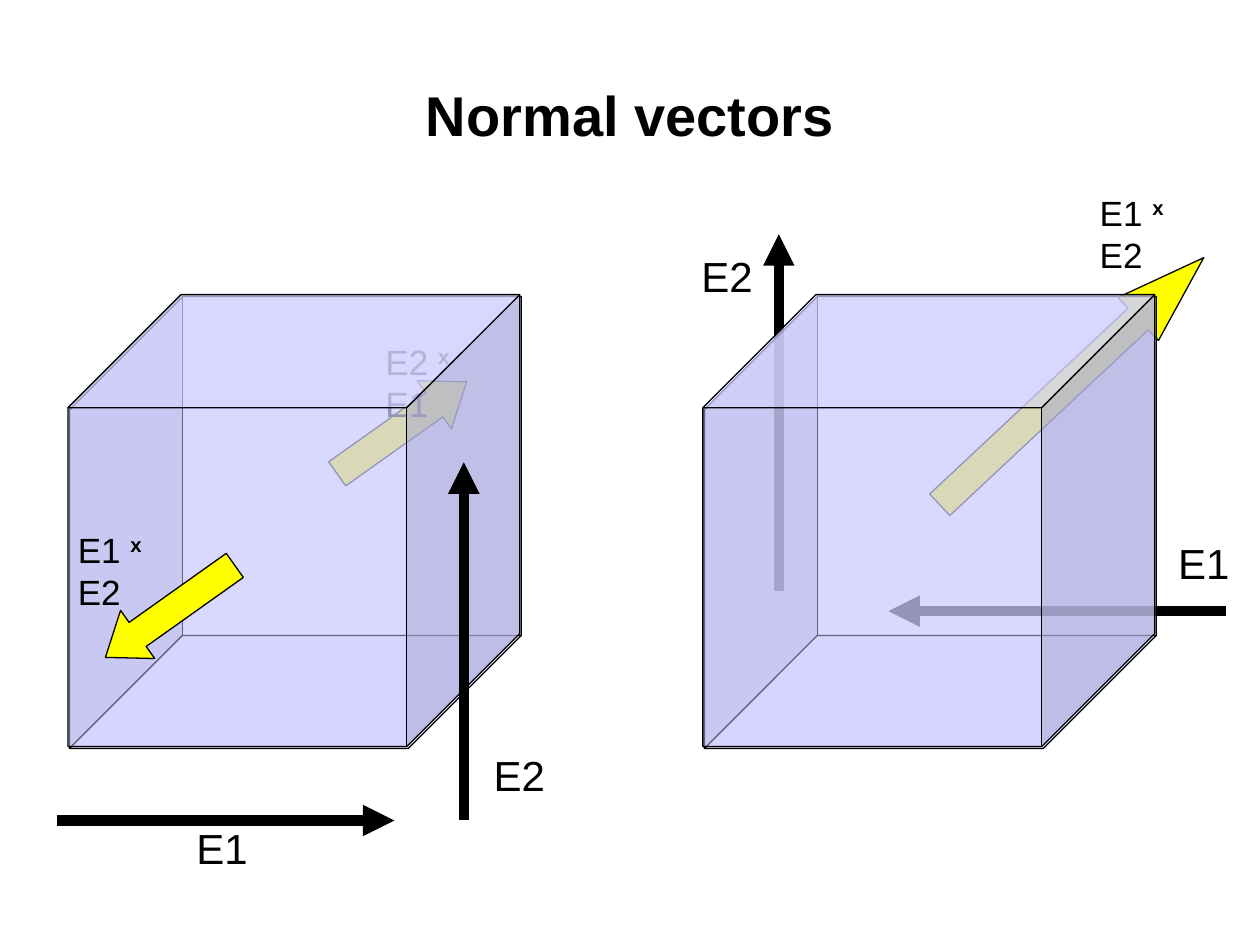
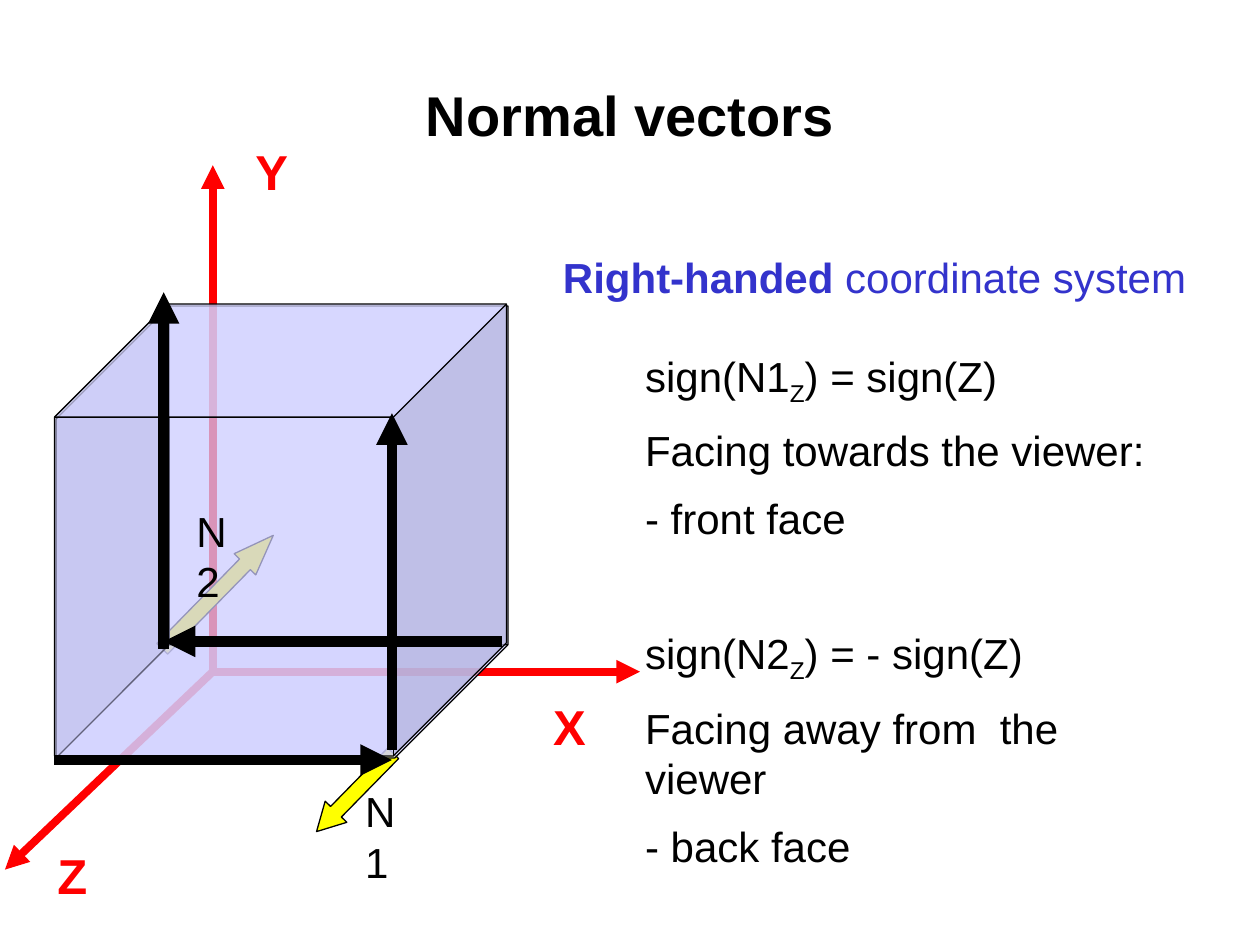
import pptx
import pptx.util
import pptx.dml.color
import pptx.enum.shapes
import pptx.enum.text
import pptx.oxml.ns
import lxml.etree

Cm = pptx.util.Cm
Pt = pptx.util.Pt
qn = pptx.oxml.ns.qn

# Shared colours and text formats
BLACK, RED, BLUE, YELLOW = "000000", "FF0000", "3333CC", "FFFF00"
FRONT_FACE, TOP_FACE, SIDE_FACE = "CCCCFF", "D6D6FF", "A4A4CD"
FACE_ALPHA = "48000"
BOLD, PLAIN = {"bold": True}, {"bold": False}
TITLE_FONT = {"size": Pt(32), "bold": True}
AXIS_FONT = {"size": Pt(28), "bold": True}
TEXT_FONT = {"size": Pt(24), "bold": False}
PRODUCT_FONT = {"size": Pt(20), "bold": False}

# Cube measures in cm: side of the front face, depth, and both together
SIDE, DEPTH = 6.83, 2.28
SPAN = SIDE + DEPTH
BACK_SHIFT = (0.03, 0.04)
SILHOUETTE = [(DEPTH, 0), (0, DEPTH), (0, SPAN), (SIDE, SPAN), (SPAN, SIDE), (SPAN, 0)]
TOP = [(0, DEPTH), (SIDE, DEPTH), (SPAN, 0), (DEPTH, 0)]
FLANK = [(SIDE, DEPTH), (SPAN, 0), (SPAN, SIDE), (SIDE, SPAN)]
CUBE_OUTLINES = [  # points, closed, fill
    (SILHOUETTE, True, FRONT_FACE),
    (TOP, True, TOP_FACE),
    (FLANK, True, SIDE_FACE),
    (SILHOUETTE, True, None),
    (TOP[:3], False, None),
]
CUBE_EDGE = [(SIDE, DEPTH), (SIDE, SPAN)]


def rgb(code):
    return pptx.dml.color.RGBColor.from_string(code)


def draw_line(page, start, end, colour, width, head=True):
    line = page.shapes.add_connector(
        pptx.enum.shapes.MSO_CONNECTOR.STRAIGHT, *[Cm(v) for v in (*start, *end)])
    line.line.color.rgb = rgb(colour)
    line.line.width = Pt(width)
    properties = line.element.spPr
    if head:
        lxml.etree.SubElement(properties.find(qn("a:ln")), qn("a:tailEnd"), type="triangle")
    lxml.etree.SubElement(properties, qn("a:effectLst"))


# Labels: place, size, text format, colour, spans of (text, format, baseline)
VECTOR_SIZE, PRODUCT_SIZE, AXIS_SIZE = (1.55, 1.27), (2.84, 1.12), (1.17, 1.45)
E1, E2, N1, N2 = [(VECTOR_SIZE, TEXT_FONT, BLACK, [(name, {}, 0)])
                  for name in ("E1", "E2", "N1", "N2")]
X, Y, Z = [(AXIS_SIZE, AXIS_FONT, RED, [(name, {}, 0)]) for name in "XYZ"]
E1_X_E2, E2_X_E1 = [
    (PRODUCT_SIZE, PRODUCT_FONT, BLACK,
     [(first + " ", {}, 0), ("x", BOLD, 30000), (" " + second, {}, 0)])
    for first, second in (("E1", "E2"), ("E2", "E1"))]
SYSTEM = ((13.06, 1.27), TEXT_FONT, BLUE,
          [("Right-handed", BOLD, 0), (" coordinate system", PLAIN, 0)])

# Diagrams: what lies behind the cube, its corner, what lies in front.
# Lines are (start, end, colour, width); blocks (left, top, width, height, turn, head).
ORIGIN = (4.29, 13.54)
DIAGRAMS = [
    {"page": 0, "cube": (1.37, 5.94),
     "behind": {"lines": [],
                "blocks": [(6.5, 8.03, 3.2, 1.19, 144.6, 0.67)],
                "labels": [((7.52, 6.73), E2_X_E1)]},
     "front": {"lines": [((1.14, 16.54), (7.95, 16.54), BLACK, 6),
                         ((9.35, 16.54), (9.35, 9.32), BLACK, 6)],
               "blocks": [(1.83, 11.73, 3.2, 1.19, 324.6, 0.67)],
               "labels": [((3.71, 16.46), E1), ((9.7, 14.99), E2),
                          ((1.32, 10.52), E1_X_E2)]}},
    {"page": 0, "cube": (14.17, 5.94),
     "behind": {"lines": [((15.7, 11.91), (15.7, 4.72), BLACK, 6),
                          ((24.71, 12.32), (17.91, 12.32), BLACK, 6)],
                "blocks": [(17.96, 7.09, 7.29, 1.19, 136.9, 1.52)],
                "labels": [((13.89, 4.93), E2), ((23.5, 10.72), E1),
                           ((21.92, 3.73), E1_X_E2)]},
     "front": {"lines": [], "blocks": [], "labels": []}},
    {"page": 1, "cube": (1.1, 6.13),
     "behind": {"lines": [(ORIGIN, end, RED, 4.5)
                          for end in ((4.29, 3.33), (0.1, 17.53), (12.9, 13.54))],
                "blocks": [(2.79, 11.63, 3.2, 0.61, 134.4, 1.34),
                           (6.05, 15.67, 2.21, 0.61, 314.4, 0.92)],
                "labels": []},
     "front": {"lines": [((1.09, 15.32), (7.9, 15.32), BLACK, 6),
                         ((7.9, 15.11), (7.9, 8.33), BLACK, 6),
                         ((10.11, 12.93), (3.3, 12.93), BLACK, 6),
                         ((3.3, 13.08), (3.3, 5.89), BLACK, 6)],
               "blocks": [],
               "labels": [((10.9, 13.92), X), ((4.9, 2.72), Y), ((0.91, 16.92), Z),
                          ((7.11, 15.72), N1), ((3.71, 10.06), N2),
                          ((11.1, 4.95), SYSTEM)]}},
]

# Face rules: spans and space before each paragraph
FACE_RULES = [
    ([("sign(N1", {}, 0), ("Z", {}, -25000), (") = sign(Z)", {}, 0)], 10),
    ([("Facing towards the viewer:", {}, 0)], 10),
    ([("- front face", {}, 0)], 10),
    ([("sign(N2", {}, 0), ("Z", {}, -25000), (") = - sign(Z)", {}, 0)], 48),
    ([("Facing away from  the viewer", {}, 0)], 10),
    ([("- back face", {}, 0)], 10),
]

# Deck and pages
deck = pptx.Presentation()
deck.slide_width, deck.slide_height = Cm(25.4), Cm(19.05)
pages = [deck.slides.add_slide(deck.slide_layouts[number]) for number in (5, 1)]
texts = []  # paragraph, font, colour, spans

# Titles
for page in pages:
    title = page.shapes.title
    title.left, title.top, title.width, title.height = Cm(1.9), Cm(0.71), Cm(21.6), Cm(3.18)
    frame = title.text_frame
    for name, value in {"auto_size": pptx.enum.text.MSO_AUTO_SIZE.NONE,
                        "vertical_anchor": pptx.enum.text.MSO_ANCHOR.MIDDLE}.items():
        setattr(frame, name, value)
    para = frame.paragraphs[0]
    for name, value in {"alignment": pptx.enum.text.PP_ALIGN.CENTER,
                        "space_before": Pt(12), "space_after": Pt(6)}.items():
        setattr(para, name, value)
    texts.append((para, TITLE_FONT, BLACK, [("Normal vectors", {}, 0)]))

# Cubes with their vectors
for diagram in DIAGRAMS:
    page = pages[diagram["page"]]
    for layer in ("behind", "front"):
        # The cube goes between the two layers: back half first, then front half
        for mirrored in ((True, False) if layer == "front" else ()):
            left, top = diagram["cube"]
            if mirrored:
                left, top = left + BACK_SHIFT[0], top + BACK_SHIFT[1]
            *outlines, edge = [
                [(left + (SPAN - x if mirrored else x), top + (SPAN - y if mirrored else y))
                 for x, y in points]
                for points in [outline[0] for outline in CUBE_OUTLINES] + [CUBE_EDGE]]
            for points, (_, closed, fill) in zip(outlines, CUBE_OUTLINES):
                corners = [(Cm(x), Cm(y)) for x, y in points]
                builder = page.shapes.build_freeform(*corners[0])
                builder.add_line_segments(corners[1:], close=closed)
                face = builder.convert_to_shape()
                face.shadow.inherit = False
                if fill:
                    face.fill.solid()
                    face.fill.fore_color.rgb = rgb(fill)
                    colour = next(face.element.iter(qn("a:srgbClr")))
                    lxml.etree.SubElement(colour, qn("a:alpha"), val=FACE_ALPHA)
                    face.line.fill.background()
                else:
                    face.fill.background()
                    face.line.color.rgb = rgb(BLACK)
                    face.line.width = Pt(0.75)
            draw_line(page, *edge, BLACK, 0.75, head=False)

        # Vectors
        for vector in diagram[layer]["lines"]:
            draw_line(page, *vector)

        # Normals
        for *place, turn, head in diagram[layer]["blocks"]:
            normal = page.shapes.add_shape(
                pptx.enum.shapes.MSO_SHAPE.LEFT_ARROW, *[Cm(v) for v in place])
            normal.adjustments[0], normal.adjustments[1] = 0.5, head
            normal.rotation = turn
            normal.shadow.inherit = False
            normal.fill.solid()
            normal.fill.fore_color.rgb = rgb(YELLOW)
            normal.line.color.rgb = rgb(BLACK)
            normal.line.width = Pt(0.75)

        # Labels
        for place, (size, font, colour, spans) in diagram[layer]["labels"]:
            box = page.shapes.add_textbox(*[Cm(v) for v in (*place, *size)])
            box.text_frame.word_wrap = False
            box.text_frame.auto_size = pptx.enum.text.MSO_AUTO_SIZE.SHAPE_TO_FIT_TEXT
            texts.append((box.text_frame.paragraphs[0], font, colour, spans))

# Front and back face rules
body = pages[1].placeholders[1]
body.left, body.top, body.width, body.height = Cm(12.75), Cm(6.93), Cm(11.51), Cm(9.55)
frame = body.text_frame
for name, value in {"word_wrap": False, "auto_size": pptx.enum.text.MSO_AUTO_SIZE.NONE,
                    "vertical_anchor": pptx.enum.text.MSO_ANCHOR.TOP}.items():
    setattr(frame, name, value)
for index, (spans, gap) in enumerate(FACE_RULES):
    para = frame.add_paragraph() if index else frame.paragraphs[0]
    para.space_before = Pt(gap)
    properties = para._p.get_or_add_pPr()
    properties.set("marL", "0")
    properties.set("indent", "0")
    lxml.etree.SubElement(properties, qn("a:buNone"))
    texts.append((para, TEXT_FONT, BLACK, spans))

# Wording
for para, font, colour, spans in texts:
    for wording, change, baseline in spans:
        span = para.add_run()
        span.text = wording
        for name, value in {"name": "Arial", **font, **change}.items():
            setattr(span.font, name, value)
        span.font.color.rgb = rgb(colour)
        if baseline:
            span._r.get_or_add_rPr().set("baseline", str(baseline))

deck.save("out.pptx")
